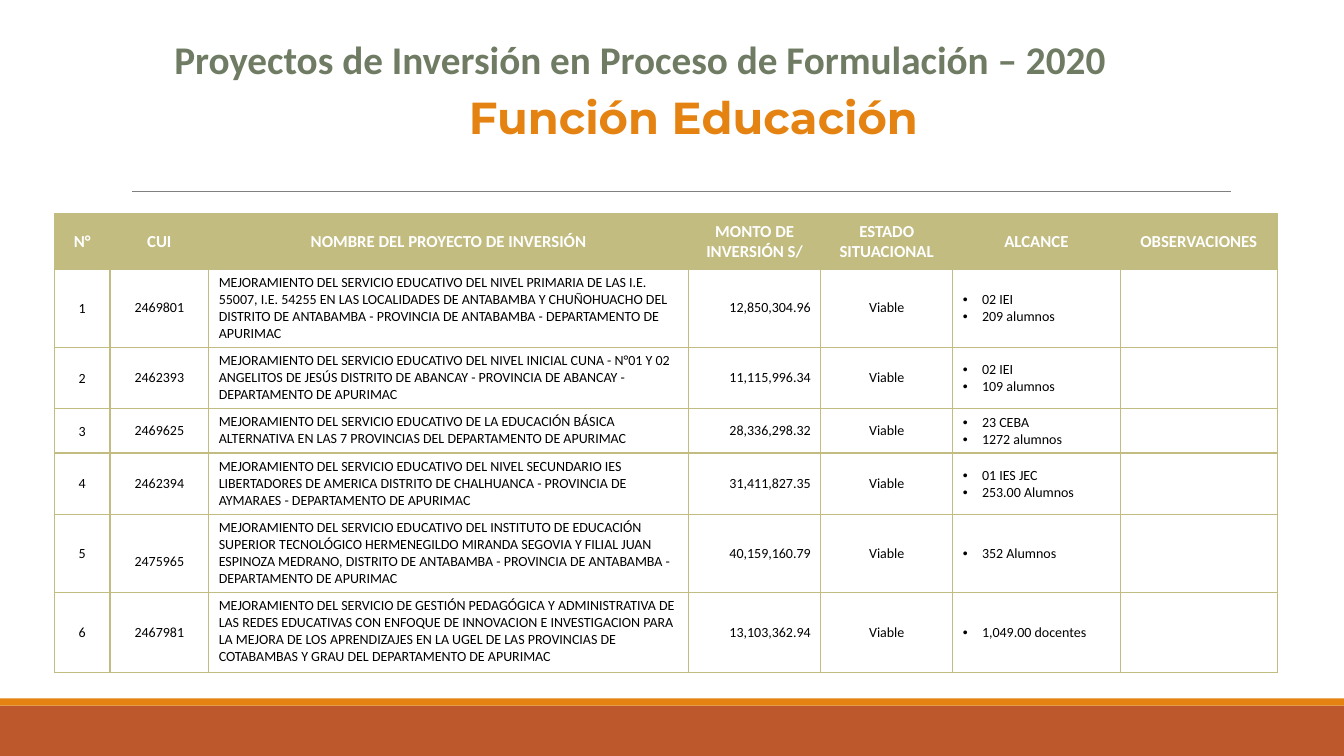
from dataclasses import dataclass
from typing import NamedTuple

from lxml.etree import SubElement
from pptx import Presentation
from pptx.dml.color import RGBColor
from pptx.enum.shapes import MSO_CONNECTOR, MSO_SHAPE
from pptx.enum.text import MSO_ANCHOR as Anchor, PP_ALIGN as Align
from pptx.oxml import parse_xml
from pptx.oxml.ns import nsdecls, qn
from pptx.util import Inches, Pt


@dataclass(frozen=True)
class Theme:
    rust: str = "BD582C"
    orange: str = "E48312"
    green: str = "6F7B63"
    sand: str = "C2BC80"
    gray: str = "808080"
    white: str = "FFFFFF"
    black: str = "000000"
    body_font: str = "Calibri"
    accent_font: str = "Montserrat"
    title: int = 28
    subtitle: int = 32
    header: int = 12
    body: int = 10


class Box(NamedTuple):
    left: float
    top: float
    width: float
    height: float

    def emu(self) -> list:
        return [Inches(v) for v in self]


class Band(NamedTuple):
    box: Box
    color: str


class Heading(NamedTuple):
    text: str
    box: Box
    size: int
    font: str
    color: str


class Project(NamedTuple):
    cui: str
    name: str
    amount: str
    scope: list[str]
    height: float
    cui_top: float = 0.05


T = Theme()
BANDS = [
    Band(Box(0, 7, 13.33, 0.5), T.rust),
    Band(Box(0, 6.93, 13.33, 0.07), T.orange),
]
HEADINGS = [
    Heading("Proyectos de Inversión en Proceso de Formulación – 2020",
            Box(0.57, 0.16, 11.55, 0.66), T.title, T.body_font, T.green),
    Heading("Función Educación", Box(4.34, 0.76, 5.08, 0.66),
            T.subtitle, T.accent_font, T.orange),
]
COLUMNS = {
    "N°": 0.55,
    "CUI": 0.98,
    "NOMBRE DEL PROYECTO DE INVERSIÓN": 4.76,
    "MONTO DE INVERSIÓN S/": 1.31,
    "ESTADO SITUACIONAL": 1.31,
    "ALCANCE": 1.66,
    "OBSERVACIONES": 1.56,
}
HEADER_HEIGHT = 0.55
PROJECTS = [
    Project("2469801", "MEJORAMIENTO DEL SERVICIO EDUCATIVO DEL NIVEL PRIMARIA DE LAS I.E. "
            "55007, I.E. 54255 EN LAS LOCALIDADES DE ANTABAMBA Y CHUÑOHUACHO DEL DISTRITO DE "
            "ANTABAMBA - PROVINCIA DE ANTABAMBA - DEPARTAMENTO DE APURIMAC",
            "12,850,304.96", ["02 IEI", "209 alumnos"], 0.77),
    Project("2462393", "MEJORAMIENTO DEL SERVICIO EDUCATIVO DEL NIVEL INICIAL CUNA - N°01 Y 02 "
            "ANGELITOS DE JESÚS DISTRITO DE ABANCAY - PROVINCIA DE ABANCAY - "
            "DEPARTAMENTO DE APURIMAC",
            "11,115,996.34", ["02 IEI", "109 alumnos"], 0.61),
    Project("2469625", "MEJORAMIENTO DEL SERVICIO EDUCATIVO DE LA EDUCACIÓN BÁSICA "
            "ALTERNATIVA EN LAS 7 PROVINCIAS DEL DEPARTAMENTO DE APURIMAC",
            "28,336,298.32", ["23 CEBA", "1272 alumnos"], 0.44),
    Project("2462394", "MEJORAMIENTO DEL SERVICIO EDUCATIVO DEL NIVEL SECUNDARIO IES "
            "LIBERTADORES DE AMERICA DISTRITO DE CHALHUANCA - PROVINCIA DE AYMARAES - "
            "DEPARTAMENTO DE APURIMAC",
            "31,411,827.35", ["01 IES JEC", "253.00 Alumnos"], 0.61),
    Project("2475965", "MEJORAMIENTO DEL SERVICIO EDUCATIVO DEL INSTITUTO DE EDUCACIÓN "
            "SUPERIOR TECNOLÓGICO HERMENEGILDO MIRANDA SEGOVIA Y FILIAL JUAN ESPINOZA MEDRANO, "
            "DISTRITO DE ANTABAMBA - PROVINCIA DE ANTABAMBA - DEPARTAMENTO DE APURIMAC",
            "40,159,160.79", ["352 Alumnos"], 0.77, cui_top=0.22),
    Project("2467981", "MEJORAMIENTO DEL SERVICIO DE GESTIÓN PEDAGÓGICA Y ADMINISTRATIVA DE "
            "LAS REDES EDUCATIVAS CON ENFOQUE DE INNOVACION E INVESTIGACION PARA LA MEJORA DE "
            "LOS APRENDIZAJES EN LA UGEL DE LAS PROVINCIAS DE COTABAMBAS Y GRAU DEL "
            "DEPARTAMENTO DE APURIMAC",
            "13,103,362.94", ["1,049.00 docentes"], 0.79),
]


def rgb(color: str) -> RGBColor:
    return RGBColor.from_string(color)


def write(tf, *lines: str, size: int = T.body, font: str = T.body_font, color: str = T.black,
          bold: bool = False, align=Align.LEFT, bullet: bool = False) -> None:
    for i, line in enumerate(lines):
        p = tf.add_paragraph() if i else tf.paragraphs[0]
        p.alignment = align
        r = p.add_run()
        r.text = line
        r.font.size, r.font.name, r.font.bold = Pt(size), font, bold
        r.font.color.rgb = rgb(color)
        if bullet:
            props = p._p.get_or_add_pPr()
            props.set("marL", str(Inches(0.19)))
            props.set("indent", str(-Inches(0.19)))
            SubElement(props, qn("a:buFont")).set("typeface", "Arial")
            SubElement(props, qn("a:buChar")).set("char", "•")


def add_band(slide, band: Band) -> None:
    s = slide.shapes.add_shape(MSO_SHAPE.RECTANGLE, *band.box.emu())
    s.shadow.inherit = False
    s.fill.solid()
    s.fill.fore_color.rgb = rgb(band.color)
    s.line.fill.background()


def add_rule(slide, left: float, right: float, y: float) -> None:
    s = slide.shapes.add_connector(
        MSO_CONNECTOR.STRAIGHT, Inches(left), Inches(y), Inches(right), Inches(y))
    s.line.color.rgb, s.line.width = rgb(T.gray), Pt(0.5)
    SubElement(s._element.spPr, qn("a:effectLst"))


def add_heading(slide, heading: Heading) -> None:
    tf = slide.shapes.add_textbox(*heading.box.emu()).text_frame
    tf.word_wrap, tf.vertical_anchor = True, Anchor.BOTTOM
    tf.margin_left = tf.margin_top = tf.margin_right = tf.margin_bottom = 0
    write(tf, heading.text, size=heading.size, font=heading.font, color=heading.color,
          bold=True, align=Align.CENTER)


def style_cell(cell, fill: str = "", anchor=Anchor.MIDDLE, tight: bool = False) -> None:
    cell.vertical_anchor = anchor
    if tight:
        cell.margin_left = cell.margin_top = cell.margin_right = Inches(0.01)
        cell.margin_bottom = 0
    if fill:
        cell.fill.solid()
        cell.fill.fore_color.rgb = rgb(fill)
    else:
        cell.fill.background()
    props = cell._tc.get_or_add_tcPr()
    for i, side in enumerate("LRTB"):
        props.insert(i, parse_xml(
            f'<a:ln{side} {nsdecls("a")} w="{Pt(1)}"><a:solidFill>'
            f'<a:srgbClr val="{T.sand}"/></a:solidFill></a:ln{side}>'))


def fill_project(cells: list, number: int, project: Project) -> None:
    num, cui, name, amount, state, scope, notes = cells
    for cell in cells:
        style_cell(cell, anchor=Anchor.TOP if cell is name else Anchor.MIDDLE,
                   tight=cell is num)
    cui.margin_top = Inches(project.cui_top)
    for cell, text in ((num, str(number)), (cui, project.cui), (state, "Viable")):
        write(cell.text_frame, text, align=Align.CENTER)
    write(name.text_frame, project.name)
    write(amount.text_frame, project.amount, align=Align.RIGHT)
    write(scope.text_frame, *project.scope, bullet=True)


def add_projects(slide, left: float, top: float) -> None:
    heights = [HEADER_HEIGHT, *(project.height for project in PROJECTS)]
    box = Box(left, top, sum(COLUMNS.values()), sum(heights))
    table = slide.shapes.add_table(len(heights), len(COLUMNS), *box.emu()).table
    table.first_row = table.horz_banding = False
    for row, height in zip(table.rows, heights):
        row.height = Inches(height)
    for i, (label, width) in enumerate(COLUMNS.items()):
        table.columns[i].width = Inches(width)
        cell = table.cell(0, i)
        style_cell(cell, fill=T.sand, tight=True)
        write(cell.text_frame, label, size=T.header, color=T.white, bold=True,
              align=Align.CENTER)
    for i, project in enumerate(PROJECTS, 1):
        fill_project(list(table.rows[i].cells), i, project)


prs = Presentation()
prs.slide_width, prs.slide_height = Inches(13.33), Inches(7.5)
slide = prs.slides.add_slide(prs.slide_layouts[6])
for band in BANDS:
    add_band(slide, band)
add_rule(slide, 1.31, 12.21, 1.9)
add_projects(slide, 0.54, 2.12)
for heading in HEADINGS:
    add_heading(slide, heading)
prs.save("out.pptx")
